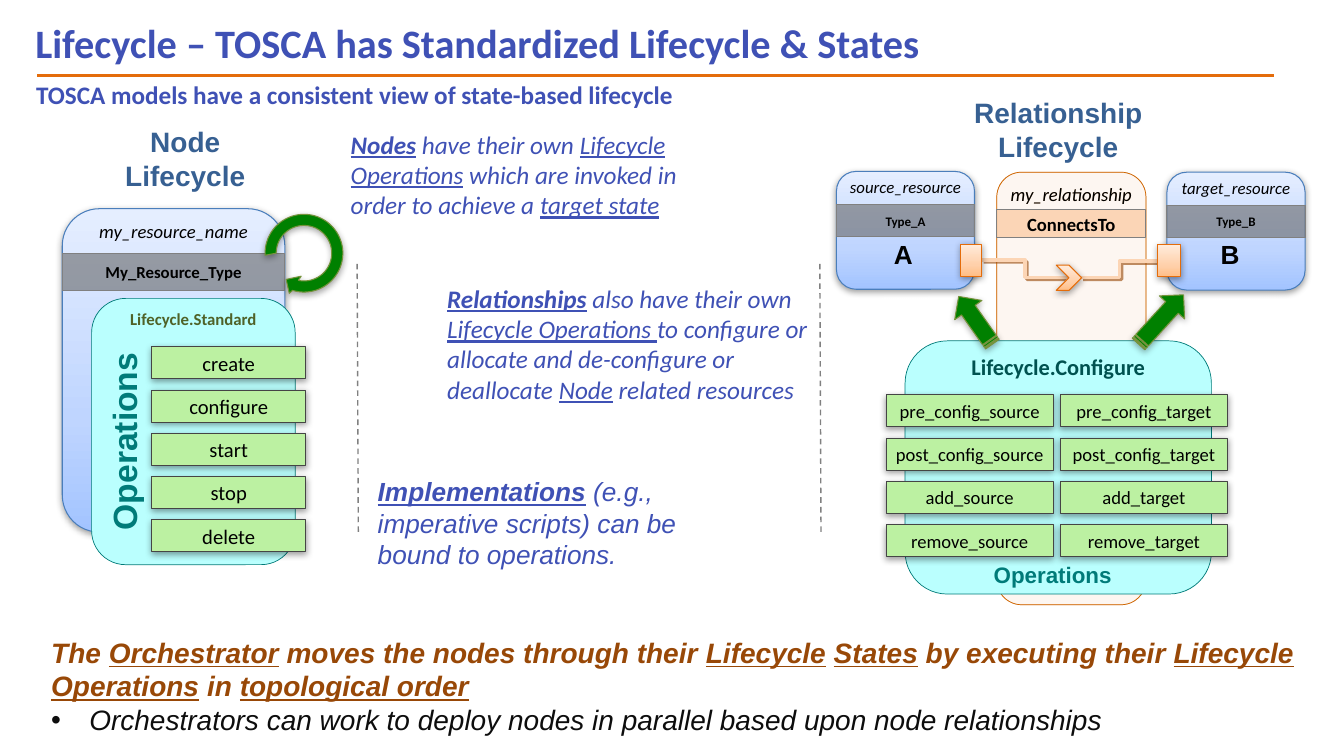
from copy import deepcopy
from math import cos, radians, sin

from pptx import Presentation
from pptx.dml.color import RGBColor
from pptx.enum.dml import MSO_LINE
from pptx.enum.shapes import MSO_CONNECTOR, MSO_SHAPE
from pptx.enum.text import MSO_ANCHOR, MSO_AUTO_SIZE, PP_ALIGN
from pptx.oxml.ns import qn
from pptx.oxml.xmlchemy import OxmlElement
from pptx.util import Cm, Pt

BLACK = RGBColor(0x00, 0x00, 0x00)
NEAR_BLACK = RGBColor(0x0D, 0x0D, 0x0D)
INDIGO = RGBColor(0x3F, 0x51, 0xB5)
STEEL = RGBColor(0x37, 0x60, 0x92)
ORANGE = RGBColor(0xE4, 0x6C, 0x0A)
RUST = RGBColor(0xCF, 0x65, 0x00)
BROWN = RGBColor(0x98, 0x48, 0x07)
PEACH = RGBColor(0xFC, 0xD5, 0xB5)
APRICOT = RGBColor(0xFA, 0xC0, 0x90)
CREAM = RGBColor(0xFF, 0xCF, 0xA1)
CYAN = RGBColor(0xBA, 0xFF, 0xFE)
TEAL = RGBColor(0x00, 0x7B, 0x79)
DARK_TEAL = RGBColor(0x00, 0x52, 0x50)
LIME = RGBColor(0xBC, 0xF1, 0xA2)
GREEN = RGBColor(0x00, 0x80, 0x00)
OLIVE = RGBColor(0x77, 0x93, 0x3C)
DARK_OLIVE = RGBColor(0x4F, 0x62, 0x28)
CHARCOAL = RGBColor(0x45, 0x45, 0x45)
DARK_GRAY = RGBColor(0x66, 0x66, 0x66)
GRAY = RGBColor(0x80, 0x80, 0x80)
BLUE = RGBColor(0x4A, 0x7E, 0xBB)
BLUES = (RGBColor(0xA3, 0xC4, 0xFF), RGBColor(0xBF, 0xD5, 0xFF), RGBColor(0xE5, 0xEE, 0xFF))
ORANGES = (RGBColor(0xFF, 0xBE, 0x86), RGBColor(0xFF, 0xD0, 0xAA), RGBColor(0xFF, 0xEB, 0xDB))
SOFT_SHADOW = (BLACK, 38, 5, 1.6, 90)
ARROW_SHADOW = (BLACK, 35, 5, 1.8, 90)
LINK_SHADOW = (BROWN, 61, 0, 2, 45)
RUST_GLOW = (RUST, 40, 0, 0, 0)
DEFAULT_INSETS = (0.25, 0.13, 0.25, 0.13)
NO_INSETS = (0, 0, 0, 0)


def add_element(parent, tag, **attributes):
    """Append an XML element with attributes and return it."""
    element = OxmlElement(tag)
    for key, value in attributes.items():
        element.set(key, str(value))
    parent.append(element)
    return element


def cast_shadow(properties, color, opacity, blur, distance, angle):
    """Add an outer shadow to the effect list of shape properties."""
    effects = properties.find(qn("a:effectLst"))
    shadow = add_element(effects, "a:outerShdw", blurRad=Pt(blur), dist=Pt(distance),
                         dir=angle * 60000, algn="ctr", rotWithShape=0)
    add_element(add_element(shadow, "a:srgbClr", val=color), "a:alpha", val=opacity * 1000)


def paint(shape, fill, line, weight=0.75, opacity=100, shadow=None):
    """Set fill, outline and shadow; several colours give a gradient."""
    if isinstance(fill, RGBColor):
        shape.fill.solid()
        shape.fill.fore_color.rgb = fill
        if opacity < 100:
            color = shape._element.spPr.find(qn("a:solidFill"))[0]
            add_element(color, "a:alpha", val=opacity * 1000)
    else:
        shape.fill.gradient()
        shape.fill.gradient_angle = 90
        stops = shape._element.spPr.find(qn("a:gradFill")).find(qn("a:gsLst"))
        stops.append(deepcopy(stops[0]))
        for stop, color, position in zip(shape.fill.gradient_stops, fill, (0, 0.35, 1)):
            stop.color.rgb = color
            stop.position = position
    shape.line.color.rgb = line
    shape.line.width = Pt(weight)
    shape.shadow.inherit = False
    if shadow:
        cast_shadow(shape._element.spPr, *shadow)


def block(slide, kind, left, top, width, height, fill, line, rotation=0, **look):
    """Add a painted preset shape."""
    shape = slide.shapes.add_shape(kind, Cm(left), Cm(top), Cm(width), Cm(height))
    shape.rotation = rotation
    paint(shape, fill, line, **look)
    return shape


def text_box(slide, left, top, width, height, rotation=0):
    """Add an empty text box."""
    box = slide.shapes.add_textbox(Cm(left), Cm(top), Cm(width), Cm(height))
    box.rotation = rotation
    return box


def lay_out(shape, anchor=MSO_ANCHOR.TOP, insets=DEFAULT_INSETS, wrap=True):
    """Set the text frame and return its first paragraph."""
    frame = shape.text_frame
    frame.auto_size = MSO_AUTO_SIZE.NONE
    frame.word_wrap = wrap
    frame.vertical_anchor = anchor
    frame.margin_left, frame.margin_top, frame.margin_right, frame.margin_bottom = map(Cm, insets)
    return frame.paragraphs[0]


def write(paragraph, text, size, color=BLACK, font="Calibri", style="", align=PP_ALIGN.CENTER):
    """Fill a paragraph from a string or (text, style) runs; styles use b, i and u."""
    paragraph.alignment = align
    paragraph.space_before = Pt(0)
    for words, marks in [(text, style)] if isinstance(text, str) else text:
        run = paragraph.add_run()
        run.text = words
        run.font.name, run.font.size = font, Pt(size)
        run.font.color.rgb = color
        run.font.bold, run.font.italic, run.font.underline = ("b" in marks, "i" in marks, "u" in marks)


def connect(slide, kind, start, end, color, weight, dash=None, shadow=None):
    """Add a line between two points."""
    line = slide.shapes.add_connector(kind, *map(Cm, start + end))
    line.line.color.rgb = color
    line.line.width = Pt(weight)
    if dash:
        line.line.dash_style = dash
    add_element(line._element.spPr, "a:effectLst")
    if shadow:
        cast_shadow(line._element.spPr, *shadow)


def resource_card(slide, place, name, kind, band_top, band_height, name_size, kind_size):
    """Add a resource card with its name and type band."""
    left, _, width, _ = place
    card = block(slide, MSO_SHAPE.ROUNDED_RECTANGLE, *place, BLUES, BLUE, shadow=SOFT_SHADOW)
    write(lay_out(card, insets=(0.25, 0, 0.25, 0.13), wrap=False), name, name_size, style="i")
    band = block(slide, MSO_SHAPE.RECTANGLE, left, band_top, width, band_height,
                 DARK_GRAY, GRAY, opacity=60)
    write(lay_out(band, MSO_ANCHOR.MIDDLE, NO_INSETS, False), kind, kind_size, style="b")


def lifecycle_panel(slide, place, name, size, color):
    """Add a cyan panel that holds operations."""
    panel = block(slide, MSO_SHAPE.ROUNDED_RECTANGLE, *place, CYAN, TEAL, weight=0.5)
    write(lay_out(panel, insets=(0.33, 0, 0.33, 0), wrap=False), name, size, color, style="b")


def operation_column(slide, left, top, width, names, size):
    """Add a column of evenly spaced operations."""
    for row, name in enumerate(names):
        operation = block(slide, MSO_SHAPE.RECTANGLE, left, top + 1.09 * row, width, 0.81,
                          LIME, CHARCOAL, shadow=SOFT_SHADOW)
        write(lay_out(operation, MSO_ANCHOR.MIDDLE, (0, 0.13, 0, 0.13), False), name, size)


def loop_arrow(slide, x, y, outer, inner):
    """Add a circular arrow around a centre."""
    rim = [(x + outer * cos(radians(a)), y + outer * sin(radians(a))) for a in range(177, 468, 5)]
    hole = [(x + inner * cos(radians(a)), y + inner * sin(radians(a))) for a in range(460, 176, -5)]
    head = [(7.29, 7.39), (7.21, 7.04), (7.59, 6.96), (7.52, 7.06)]
    outline = [(Cm(px), Cm(py)) for px, py in rim + head + hole]
    builder = slide.shapes.build_freeform(*outline[0])
    builder.add_line_segments(outline[1:], close=True)
    paint(builder.convert_to_shape(), GREEN, OLIVE, shadow=ARROW_SHADOW)


def main():
    """Build the lifecycle slide."""
    deck = Presentation()
    deck.slide_width, deck.slide_height = Cm(33.87), Cm(19.05)
    slide = deck.slides.add_slide(deck.slide_layouts[1])
    title, summary = slide.placeholders
    for holder, place in ((title, (0.64, 0.43, 31.95, 1.42)), (summary, (1.04, 15.88, 31.93, 2.82))):
        holder.left, holder.top, holder.width, holder.height = map(Cm, place)

    connect(slide, MSO_CONNECTOR.STRAIGHT, (0.94, 1.9), (32.11, 1.9), ORANGE, 2)
    heading = lay_out(title, MSO_ANCHOR.MIDDLE)
    heading.line_spacing = 0.9
    write(heading, "Lifecycle – TOSCA has Standardized Lifecycle & States", 28.8, INDIGO,
          style="b", align=PP_ALIGN.LEFT)
    write(lay_out(text_box(slide, 0.66, 1.88, 16.69, 1.02), wrap=False),
          "TOSCA models have a consistent view of state-based lifecycle", 18, INDIGO,
          style="b", align=PP_ALIGN.LEFT)

    resource_card(slide, (1.57, 5.26, 5.61, 8.15), "my_resource_name", "My_Resource_Type", 6.4, 0.91, 13.3, 12)
    lifecycle_panel(slide, (2.31, 7.52, 5.13, 6.71), "Lifecycle.Standard", 12, DARK_OLIVE)
    operation_column(slide, 3.82, 8.74, 3.89, ("create", "configure", "start", "stop", "delete"), 14.7)
    node_heading = text_box(slide, 1.04, 3.15, 7.26, 2.18)
    write(lay_out(node_heading, insets=NO_INSETS), "Node", 20, STEEL, "Arial", "b")
    write(node_heading.text_frame.add_paragraph(), "Lifecycle", 20, STEEL, "Arial", "b")
    loop_arrow(slide, 7.66, 6.38, 0.98, 0.7)

    for left, top, name, kind, letter, letter_left in (
            (21.08, 4.32, "source_resource", "Type_A", "A", 22.53),
            (29.41, 4.34, "target_resource", "Type_B", "B", 30.76)):
        resource_card(slide, (left, top, 3.48, 2.97), name, kind, top + 0.84, 0.81, 12, 9.3)
        write(lay_out(text_box(slide, letter_left, 6, 0.5, 0.8), insets=NO_INSETS, wrap=False),
              letter, 18.7, font="Arial", style="b", align=PP_ALIGN.LEFT)
    relationship = block(slide, MSO_SHAPE.ROUNDED_RECTANGLE, 25.12, 4.34, 3.76, 10.9, CREAM, RUST,
                         weight=0.5, opacity=7, shadow=RUST_GLOW)
    write(lay_out(relationship, insets=(0, 0.08, 0, 0), wrap=False), "my_relationship", 13.3, style="i")
    relation_type = block(slide, MSO_SHAPE.RECTANGLE, 25.12, 5.28, 3.76, 0.71, APRICOT, GRAY, opacity=60)
    write(lay_out(relation_type, MSO_ANCHOR.MIDDLE, NO_INSETS, False), "ConnectsTo", 13.3, style="b")
    for start, end in (((26.92, 6.99), (24.74, 6.55)), ((29.18, 6.58), (27.25, 6.99))):
        connect(slide, MSO_CONNECTOR.ELBOW, start, end, PEACH, 2.5, shadow=LINK_SHADOW)
    for kind, place in ((MSO_SHAPE.RECTANGLE, (24.21, 6.15, 0.53, 0.81)),
                        (MSO_SHAPE.RECTANGLE, (29.18, 6.17, 0.58, 0.81)),
                        (MSO_SHAPE.CHEVRON, (26.62, 6.68, 0.64, 0.64))):
        block(slide, kind, *place, ORANGES, ORANGE, shadow=SOFT_SHADOW)

    lifecycle_panel(slide, (22.81, 8.59, 7.72, 6.38), "Lifecycle.Configure", 16, DARK_TEAL)
    for left, end in ((26.72, "target"), (22.33, "source")):
        names = [f"{action}_{end}" for action in ("pre_config", "post_config", "add", "remove")]
        operation_column(slide, left, 9.95, 4.22, names, 13.3)
    for place, size, turn in (((0.51, 10.44, 5.21, 1.37), 24, 270), ((24.69, 13.97, 3.68, 1.02), 16, 0)):
        write(lay_out(text_box(slide, *place, rotation=turn), insets=(0.33, 0.18, 0.33, 0.18), wrap=False),
              "Operations", size, TEAL, "Arial", "b")
    for place, turn in (((23.85, 7.65, 1.47, 0.84), 234.8), ((28.42, 7.62, 1.68, 0.86), 312.4)):
        block(slide, MSO_SHAPE.STRIPED_RIGHT_ARROW, *place, GREEN, OLIVE, rotation=turn, shadow=ARROW_SHADOW)
    write(lay_out(text_box(slide, 23.04, 2.41, 7.26, 1.8), insets=NO_INSETS),
          "Relationship Lifecycle", 20, STEEL, "Arial", "b")
    for x in (9, 20.66):
        connect(slide, MSO_CONNECTOR.STRAIGHT, (x, 6.65), (x + 0.03, 13.43), GRAY, 1, MSO_LINE.DASH)

    for place, size, font, runs in (
            ((8.59, 3.12, 9.96, 2.57), 18, "Calibri", (
                ("Nodes", "biu"), (" have their own ", "i"), ("Lifecycle Operations", "iu"),
                (" which are invoked in order to achieve a ", "i"), ("target state", "iu"))),
            ((11.02, 7.01, 9.63, 3.33), 18, "Calibri", (
                ("Relationships", "biu"), (" also have their own ", "i"), ("Lifecycle Operations ", "iu"),
                ("to configure or allocate and de-configure or deallocate ", "i"),
                ("Node", "iu"), (" related resources", "i"))),
            ((9.27, 11.86, 9.93, 2.64), 18.7, "Arial", (
                ("Implementations", "biu"),
                (" (e.g., imperative scripts) can be bound to operations.", "i")))):
        write(lay_out(text_box(slide, *place)), runs, size, INDIGO, font, align=PP_ALIGN.LEFT)

    message = lay_out(summary)
    detail = summary.text_frame.add_paragraph()
    for paragraph, indent, bullet in ((message, 0, {"tag": "a:buNone"}),
                                      (detail, Cm(0.96), {"tag": "a:buChar", "char": "•"})):
        paragraph_format = paragraph._p.get_or_add_pPr()
        paragraph_format.set("marL", str(indent))
        paragraph_format.set("indent", str(-indent))
        add_element(paragraph_format, **bullet)
    write(message, (
        ("The ", "bi"), ("Orchestrator", "biu"), (" moves the nodes through their ", "bi"),
        ("Lifecycle", "biu"), (" ", "bi"), ("States", "biu"), (" by executing their ", "bi"),
        ("Lifecycle", "biu"), (" ", "bi"), ("Operations", "biu"), (" in ", "bi"),
        ("topological order", "biu")), 20, BROWN, "Arial", align=PP_ALIGN.LEFT)
    write(detail, "Orchestrators can work to deploy nodes in parallel based upon node relationships",
          20, NEAR_BLACK, "Arial", "i", PP_ALIGN.LEFT)
    deck.save("out.pptx")


if __name__ == "__main__":
    main()
